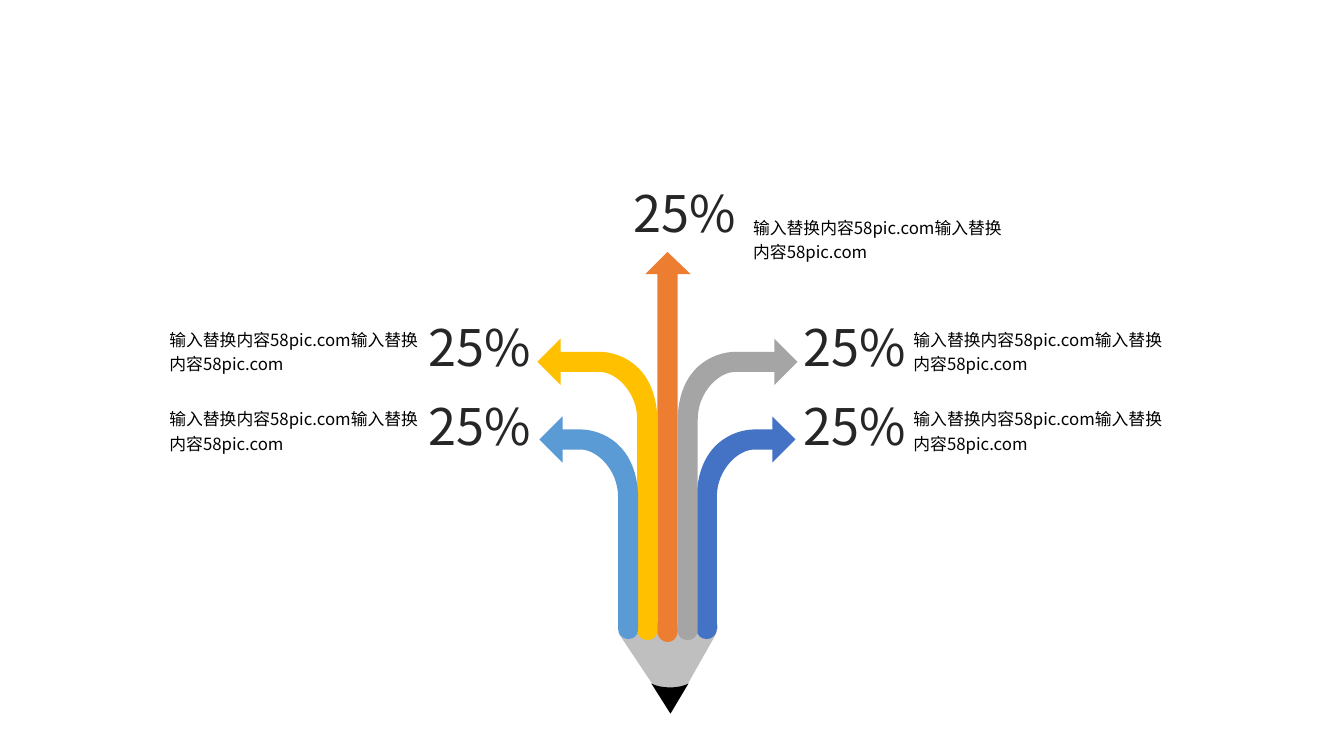
import pptx
import pptx.util
import pptx.dml.color
import pptx.enum.text
import pptx.oxml.ns
import lxml.etree

PX = 9144  # EMU per px, 100 px to the inch
MID = 662  # axis of the pencil
LEFT = pptx.enum.text.PP_ALIGN.LEFT
RIGHT = pptx.enum.text.PP_ALIGN.RIGHT

THEME = {
    "font": "Noto Sans CJK SC",
    "value": {"size": 36, "color": "262626", "space": 0.9},
    "note": {"size": 12, "color": "000000", "space": 1.2},
    "wood": "BFBFBF",
    "lead": "000000",
    "orange": "ED7D31",
    "gold": "FFC000",
    "sky": "5B9BD5",
    "blue": "4472C4",
    "gray": "A5A5A5",
}

deck = pptx.Presentation()
deck.slide_width = 1333 * PX
deck.slide_height = 750 * PX
slide = deck.slides.add_slide(deck.slide_layouts[6])


def draw(steps, color, side=1, base=0):
    """Fill an outline of points (x, y) and Bezier curves (x1, y1, x2, y2, x, y).

    Each x is measured from base, to the left when side is -1.
    """
    dots = [((base + side * step[k]) * PX, step[k + 1] * PX)
            for step in steps for k in range(0, len(step), 2)]
    pen = slide.shapes.build_freeform(*dots[0])
    pen.add_line_segments(dots[1:], close=True)
    shape = pen.convert_to_shape()
    lines = iter(list(shape._element.iter(pptx.oxml.ns.qn("a:lnTo"))))
    for step in steps[1:]:
        line = next(lines)
        if len(step) == 6:
            line.tag = pptx.oxml.ns.qn("a:cubicBezTo")
            for more in (next(lines), next(lines)):
                line.append(more[0])
                more.getparent().remove(more)
    shape.shadow.inherit = False
    shape.fill.solid()
    shape.fill.fore_color.rgb = pptx.dml.color.RGBColor.from_string(color)
    shape.line.fill.background()


def write(text, left, top, width, pad, wrap, align, style):
    box = slide.shapes.add_textbox(left * PX, top * PX, width * PX, 56 * PX)
    frame = box.text_frame
    frame.word_wrap = wrap
    frame.vertical_anchor = pptx.enum.text.MSO_ANCHOR.MIDDLE
    frame.margin_left = frame.margin_right = pad * PX
    frame.margin_top = frame.margin_bottom = 0
    frame.text = text
    para = frame.paragraphs[0]
    para.alignment = align
    para.line_spacing = style["space"]
    font = para.runs[0].font
    font.size = pptx.util.Pt(style["size"])
    font.color.rgb = pptx.dml.color.RGBColor.from_string(style["color"])
    font.name = THEME["font"]
    props = para.runs[0]._r.get_or_add_rPr()
    lxml.etree.SubElement(props, pptx.oxml.ns.qn("a:ea"), typeface=THEME["font"])


# Pencil tip
draw([(636, 628), (636, 628, 650, 615, 660, 616), (669, 618, 685, 628, 689, 628),
      (692, 627, 701, 616, 705, 617), (708, 617, 716, 616, 709, 631),
      (666, 707), (614, 629)], THEME["wood"])
draw([(646, 678), (665, 708), (683, 678), (680, 680, 673, 682, 665, 682),
      (656, 682, 649, 680, 646, 678)], THEME["lead"])

# Straight arrow
draw([(0, 250), (23, 272), (10, 272), (10, 627), (10, 632, 6, 637, 0, 637),
      (-5, 637, -10, 632, -10, 627), (-10, 272), (-22, 272)],
     THEME["orange"], base=MID)

# Bent arrows: side, reach of the head, inner edge, height of the head, foot
arrows = [
    (-1, 129, 10, 359, 625, "gold"),
    (-1, 127, 29, 436, 624, "sky"),
    (1, 127, 29, 436, 624, "blue"),
    (1, 129, 10, 359, 625, "gray"),
]
for side, reach, edge, y, foot, color in arrows:
    neck, out = reach - 23, edge + 20
    draw([(reach, y), (neck, y - 23), (neck, y - 10), (edge + 58, y - 10),
          (edge + 36, y - 10, edge, y + 5, edge, y + 60), (edge, foot),
          (edge, foot + 6, edge + 4, foot + 10, edge + 10, foot + 10),
          (edge + 15, foot + 10, out, foot + 6, out, foot), (out, y + 57),
          (out, y + 30, edge + 41, y + 10, edge + 57, y + 10),
          (neck, y + 10), (neck, y + 23)], THEME[color], side, MID)

# Labels: value left and top, note left and top, alignment of the value
labels = [(628, 187, 731, 208, LEFT)]
for y in (319, 398):
    labels += [(797, y, 890, y, LEFT), (423, y, 152, y, RIGHT)]
for left, top, note_left, note_top, align in labels:
    write("输入替换内容58pic.com输入替换内容58pic.com", note_left, note_top,
          282, 16, True, LEFT, THEME["note"])
    write("25%", left, top, 104, 0, False, align, THEME["value"])

deck.save("out.pptx")
